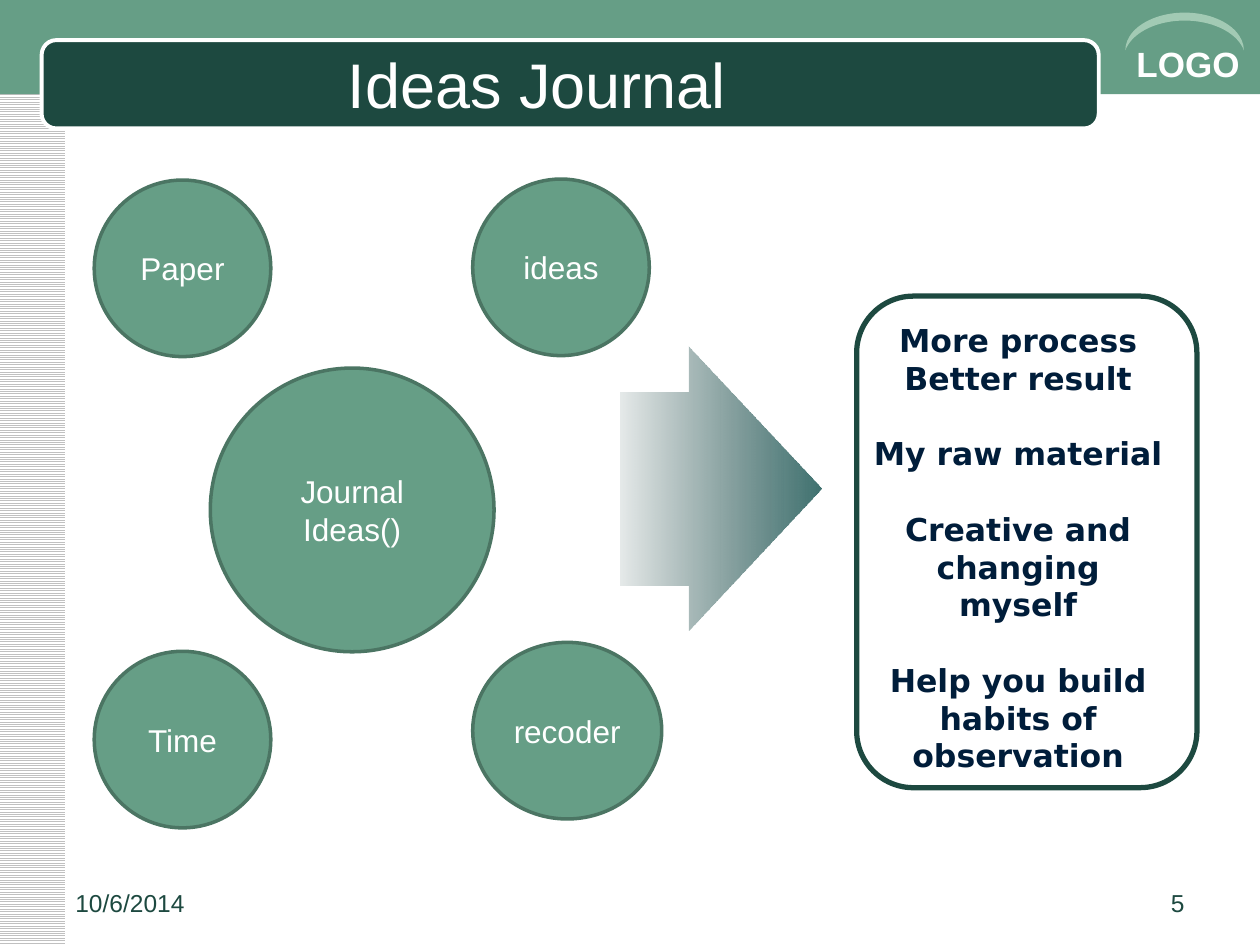
"""Build the Ideas Journal slide: journal inputs leading to their benefits."""
from lxml.etree import SubElement
from pptx import Presentation
from pptx.dml.color import RGBColor
from pptx.enum.dml import MSO_PATTERN
from pptx.enum.shapes import MSO_SHAPE as Shape
from pptx.enum.text import MSO_ANCHOR as Anchor, PP_ALIGN as Align
from pptx.oxml.ns import qn
from pptx.util import Cm, Pt

COLORS = {
    "white": "FFFFFF", "stripe": "C0C0C0", "green": "669E86", "dark": "1D4940",
    "edge": "4B7563", "pale": "A2CAB4", "navy": "001D3A",
    "arrow_tail": "2D514F", "arrow_tip": "3F716F",
}
RGB = {name: RGBColor.from_string(value) for name, value in COLORS.items()}


def add_figure(page, kind, place, fill=None, line=None, width=0):
    figure = page.shapes.add_shape(kind, *map(Cm, place))
    figure.shadow.inherit = False
    if fill:
        figure.fill.solid()
        figure.fill.fore_color.rgb = RGB[fill]
    else:
        figure.fill.background()
    if line:
        figure.line.color.rgb = RGB[line]
        figure.line.width = Pt(width)
    else:
        figure.line.fill.background()
    return figure


def write(box, text, size, color, align, font="Arial", bold=False):
    frame = box.text_frame
    frame.word_wrap = True
    frame.text = text
    for para in frame.paragraphs:
        para.alignment = align
        for span in para.runs:
            span.font.name = font
            span.font.size = Pt(size)
            span.font.bold = bold
            span.font.color.rgb = RGB[color]
    return frame


deck = Presentation()
deck.slide_width, deck.slide_height = Cm(25.4), Cm(19.05)
page = deck.slides.add_slide(deck.slide_layouts[5])

sidebar = add_figure(page, Shape.RECTANGLE, (0, 0, 1.32, 19.05))
sidebar.fill.patterned()
sidebar.fill.pattern = MSO_PATTERN.LIGHT_HORIZONTAL
sidebar.fill.fore_color.rgb = RGB["stripe"]
sidebar.fill.back_color.rgb = RGB["white"]
add_figure(page, Shape.RECTANGLE, (0, 0, 25.4, 1.9), "green")
add_figure(page, Shape.ROUNDED_RECTANGLE, (0.84, 0.81, 21.31, 1.78), "dark", "white", 2.25)

logo = page.shapes.add_textbox(Cm(22.66), Cm(0.74), Cm(2.74), Cm(1.09))
write(logo, "LOGO", 20, "white", Align.LEFT, bold=True)
arc = add_figure(page, Shape.MOON, (23.5, -0.56, 0.76, 2.39), "pale")
arc.rotation = 90
arc.adjustments[0] = 0.21

title = page.shapes.title
title.left, title.top, title.width, title.height = Cm(1.27), Cm(0.89), Cm(19.81), Cm(1.57)
frame = write(title, "Ideas Journal", 36, "white", Align.CENTER)
frame.vertical_anchor = Anchor.MIDDLE
page.shapes._spTree.append(title._element)

circles = [
    ("Journal Ideas()", 4.24, 7.42, 5.72, 5.72),
    ("Paper", 1.9, 3.63, 3.56, 3.56),
    ("recoder", 9.53, 12.95, 3.81, 3.56),
    ("Time", 1.9, 13.13, 3.56, 3.56),
    ("ideas", 9.53, 3.61, 3.56, 3.56),
]
for label, *place in circles:
    circle = add_figure(page, Shape.OVAL, place, "green", "edge", 2)
    write(circle, label, 18, "white", Align.CENTER).vertical_anchor = Anchor.MIDDLE
frame.margin_right = Cm(0.96)

arrow = add_figure(page, Shape.RIGHT_ARROW, (12.5, 6.99, 4.06, 5.72))
arrow.adjustments[0], arrow.adjustments[1] = 0.68, 0.66
arrow.fill.gradient()
arrow.fill.gradient_angle = 0
for stop, name in zip(arrow.fill.gradient_stops, ("arrow_tail", "arrow_tip")):
    stop.color.rgb = RGB[name]
tail_color = next(arrow._element.iter(qn("a:srgbClr")))
SubElement(tail_color, qn("a:alpha"), val="12000")

add_figure(page, Shape.ROUNDED_RECTANGLE, (17.27, 5.97, 6.86, 9.91), line="dark", width=3)
benefits = [
    "More process", "Better result", "My raw material",
    "Creative and changing myself", "Help you build habits of observation",
]
box = page.shapes.add_textbox(Cm(17.35), Cm(6.35), Cm(6.35), Cm(9.4))
frame = write(box, "\n".join(benefits), 18, "navy", Align.CENTER, "DejaVu Sans", True)
for para in frame.paragraphs[2:]:
    para.space_before = Pt(21.5)

for text, left, align in (("10/6/2014", 1.27, Align.LEFT), ("5", 18.21, Align.RIGHT)):
    box = page.shapes.add_textbox(Cm(left), Cm(17.78), Cm(5.92), Cm(0.89))
    write(box, text, 14, "dark", align)

deck.save("out.pptx")
